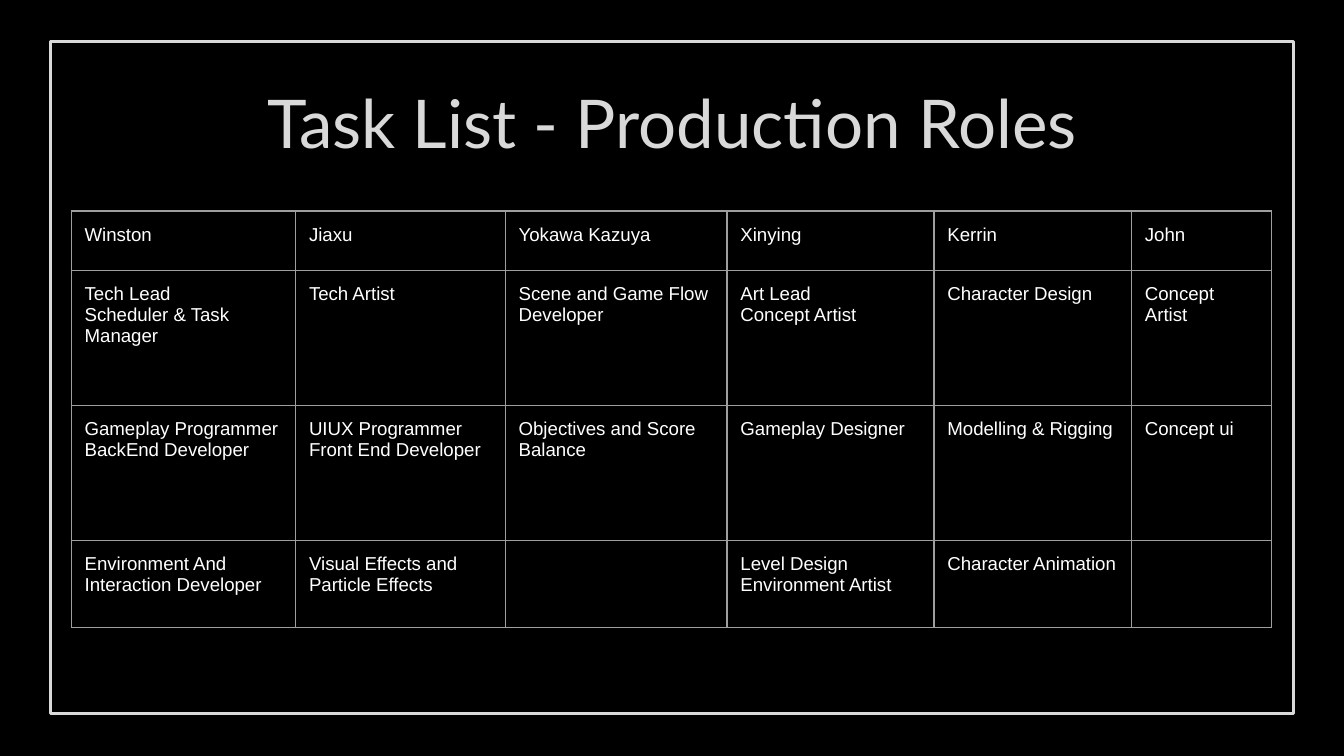
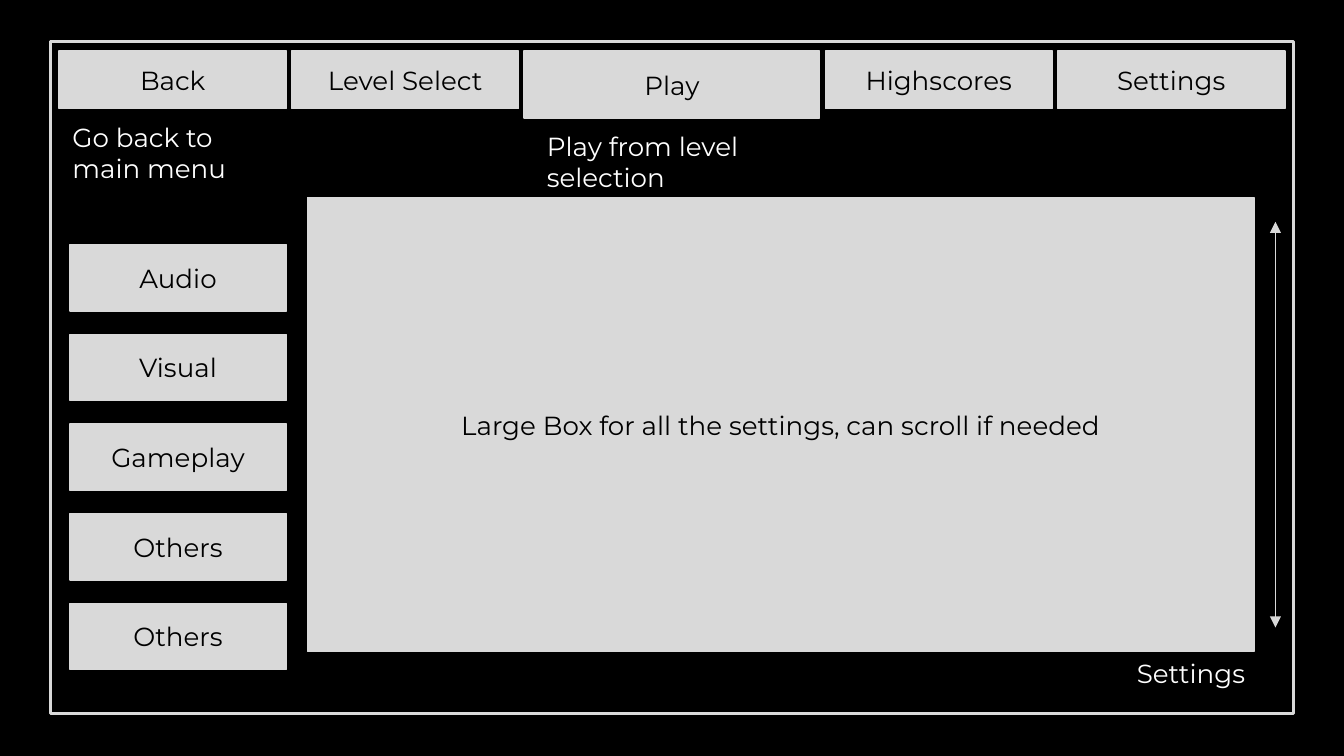
from itertools import product
from typing import NamedTuple

from lxml.etree import SubElement
from pptx import Presentation
from pptx.dml.color import RGBColor
from pptx.enum.shapes import MSO_CONNECTOR, MSO_SHAPE
from pptx.enum.text import MSO_ANCHOR, MSO_AUTO_SIZE, PP_ALIGN
from pptx.oxml.ns import qn
from pptx.shapes.autoshape import Shape
from pptx.slide import Slide
from pptx.table import _Cell
from pptx.text.text import TextFrame
from pptx.util import Inches, Pt

BLACK = RGBColor(0x00, 0x00, 0x00)
WHITE = RGBColor(0xFF, 0xFF, 0xFF)
LIGHT_GREY = RGBColor(0xD9, 0xD9, 0xD9)
BORDER_GREY = RGBColor(0x9E, 0x9E, 0x9E)

SLIDE_WIDTH = Inches(10)
SLIDE_HEIGHT = SLIDE_WIDTH * 9 // 16
UNIT = SLIDE_WIDTH // 100  # one square of a grid 100 columns wide
MARGIN = UNIT


class Area(NamedTuple):
    """A place on the grid, in columns and rows."""
    left: float
    top: float
    width: float
    height: float

    def lengths(self) -> list[int]:
        return [round(value * UNIT) for value in self]


class TextStyle(NamedTuple):
    font: str
    size: float
    color: RGBColor
    alignment: PP_ALIGN = PP_ALIGN.LEFT


class Label(NamedTuple):
    text: str
    area: Area


TITLE_STYLE = TextStyle("Lato", 36, LIGHT_GREY, PP_ALIGN.CENTER)
CELL_STYLE = TextStyle("Arial", 10, WHITE)
BUTTON_STYLE = TextStyle("Montserrat", 14, BLACK, PP_ALIGN.CENTER)
NOTE_STYLE = TextStyle("Montserrat", 14, WHITE)

FRAME = Area(3.75, 3.1, 92.5, 50)
TITLE_AREA = Area(7.8, 5.9, 84.4, 6.3)

ROLE_TABLE_CORNER = (5.3, 15.7)
ROLE_COLUMNS = [16.7, 15.6, 16.5, 15.4, 14.7, 10.4]
ROLE_ROWS = [4.4, 10.05, 10.05, 6.5]
ROLES = [
    ["Winston", "Jiaxu", "Yokawa Kazuya", "Xinying", "Kerrin", "John"],
    ["Tech Lead\nScheduler & Task Manager", "Tech Artist",
     "Scene and Game Flow Developer", "Art Lead\nConcept Artist",
     "Character Design", "Concept Artist"],
    ["Gameplay Programmer\nBackEnd Developer",
     "UIUX Programmer\nFront End Developer", "Objectives and Score Balance",
     "Gameplay Designer", "Modelling & Rigging", "Concept ui"],
    ["Environment And Interaction Developer",
     "Visual Effects and Particle Effects", "",
     "Level Design\nEnvironment Artist", "Character Animation", ""],
]

TABS = ["Back", "Level Select", "Play", "Highscores", "Settings"]
ACTIVE_TAB = "Play"
TAB_LEFT, TAB_TOP, TAB_GAP = 4.4, 3.8, 0.4
TAB_SIZE, ACTIVE_TAB_SIZE = (16.9, 4.3), (22, 5)

CATEGORIES = ["Audio", "Visual", "Gameplay", "Others", "Others"]
FIRST_CATEGORY = Area(5.2, 18.2, 16.1, 4.95)
CATEGORY_PITCH = 6.67

SETTINGS_BOX = Label("Large Box for all the settings, can scroll if needed",
                     Area(22.9, 14.7, 70.4, 33.8))
NOTES = [
    Label("Settings", Area(83.6, 47.9, 11.9, 4.4)),
    Label("Go back to main menu", Area(4.4, 8, 16.8, 6.7)),
    Label("Play from level selection", Area(39.7, 8.7, 20.6, 6.7)),
]
SCROLL_ARROW = Area(94.9, 16.5, 0, 30.2)


def write_text(frame: TextFrame, text: str, style: TextStyle) -> None:
    for index, line in enumerate(text.split("\n")):
        paragraph = frame.paragraphs[0] if index == 0 else frame.add_paragraph()
        paragraph.alignment = style.alignment
        run = paragraph.add_run()
        run.text = line
        run.font.name = style.font
        run.font.size = Pt(style.size)
        run.font.color.rgb = style.color


def set_margins(holder: TextFrame | _Cell) -> None:
    holder.margin_left = holder.margin_right = MARGIN
    holder.margin_top = holder.margin_bottom = MARGIN


def add_rectangle(slide: Slide, area: Area, line_width: float) -> Shape:
    shape = slide.shapes.add_shape(MSO_SHAPE.RECTANGLE, *area.lengths())
    shape.shadow.inherit = False
    shape.fill.background()
    shape.line.color.rgb = LIGHT_GREY
    shape.line.width = Pt(line_width)
    return shape


def add_button(slide: Slide, label: Label) -> None:
    shape = add_rectangle(slide, label.area, 0.75)
    shape.fill.solid()
    shape.fill.fore_color.rgb = LIGHT_GREY
    frame = shape.text_frame
    frame.word_wrap = True
    frame.vertical_anchor = MSO_ANCHOR.MIDDLE
    set_margins(frame)
    write_text(frame, label.text, BUTTON_STYLE)


def add_text(slide: Slide, label: Label, style: TextStyle) -> TextFrame:
    frame = slide.shapes.add_textbox(*label.area.lengths()).text_frame
    frame.word_wrap = True
    set_margins(frame)
    write_text(frame, label.text, style)
    return frame


def add_framed_slide(presentation: Presentation) -> Slide:
    slide = presentation.slides.add_slide(presentation.slide_layouts[6])
    background = slide.background.fill
    background.solid()
    background.fore_color.rgb = BLACK
    add_rectangle(slide, FRAME, 1.5)
    return slide


def add_cell_borders(cell: _Cell) -> None:
    properties = cell._tc.get_or_add_tcPr()
    for side in ("a:lnL", "a:lnR", "a:lnT", "a:lnB"):
        line = SubElement(properties, qn(side), w=str(Pt(0.75)))
        fill = SubElement(line, qn("a:solidFill"))
        SubElement(fill, qn("a:srgbClr"), val=str(BORDER_GREY))


def add_role_table(slide: Slide) -> None:
    area = Area(*ROLE_TABLE_CORNER, sum(ROLE_COLUMNS), sum(ROLE_ROWS))
    table = slide.shapes.add_table(
        len(ROLE_ROWS), len(ROLE_COLUMNS), *area.lengths()).table
    table.first_row = table.horz_banding = False
    for column, width in zip(table.columns, ROLE_COLUMNS):
        column.width = round(width * UNIT)
    for row, height in zip(table.rows, ROLE_ROWS):
        row.height = round(height * UNIT)
    for row, column in product(range(len(ROLE_ROWS)), range(len(ROLE_COLUMNS))):
        cell = table.cell(row, column)
        set_margins(cell)
        add_cell_borders(cell)
        cell.fill.background()
        if ROLES[row][column]:
            write_text(cell.text_frame, ROLES[row][column], CELL_STYLE)


def add_tabs(slide: Slide) -> None:
    left = TAB_LEFT
    for name in TABS:
        width, height = ACTIVE_TAB_SIZE if name == ACTIVE_TAB else TAB_SIZE
        add_button(slide, Label(name, Area(left, TAB_TOP, width, height)))
        left += width + TAB_GAP


def add_categories(slide: Slide) -> None:
    for index, name in enumerate(CATEGORIES):
        top = FIRST_CATEGORY.top + index * CATEGORY_PITCH
        add_button(slide, Label(name, FIRST_CATEGORY._replace(top=top)))


def add_double_arrow(slide: Slide, area: Area) -> None:
    left, top, width, height = area.lengths()
    arrow = slide.shapes.add_connector(
        MSO_CONNECTOR.STRAIGHT, left, top, left + width, top + height)
    arrow.line.color.rgb = LIGHT_GREY
    arrow.line.width = Pt(0.75)
    line = arrow.line._get_or_add_ln()
    for end in ("a:headEnd", "a:tailEnd"):
        SubElement(line, qn(end), type="triangle", w="med", len="med")
    SubElement(arrow._element.spPr, qn("a:effectLst"))


def build_roles_slide(presentation: Presentation) -> None:
    slide = add_framed_slide(presentation)
    title = Label("Task List - Production Roles", TITLE_AREA)
    add_text(slide, title, TITLE_STYLE).vertical_anchor = MSO_ANCHOR.MIDDLE
    add_role_table(slide)


def build_settings_slide(presentation: Presentation) -> None:
    slide = add_framed_slide(presentation)
    add_tabs(slide)
    for note in NOTES:
        add_text(slide, note, NOTE_STYLE).auto_size = MSO_AUTO_SIZE.SHAPE_TO_FIT_TEXT
    add_categories(slide)
    add_button(slide, SETTINGS_BOX)
    add_double_arrow(slide, SCROLL_ARROW)


def main() -> None:
    presentation = Presentation()
    presentation.slide_width = SLIDE_WIDTH
    presentation.slide_height = SLIDE_HEIGHT
    build_roles_slide(presentation)
    build_settings_slide(presentation)
    presentation.save("out.pptx")


if __name__ == "__main__":
    main()
